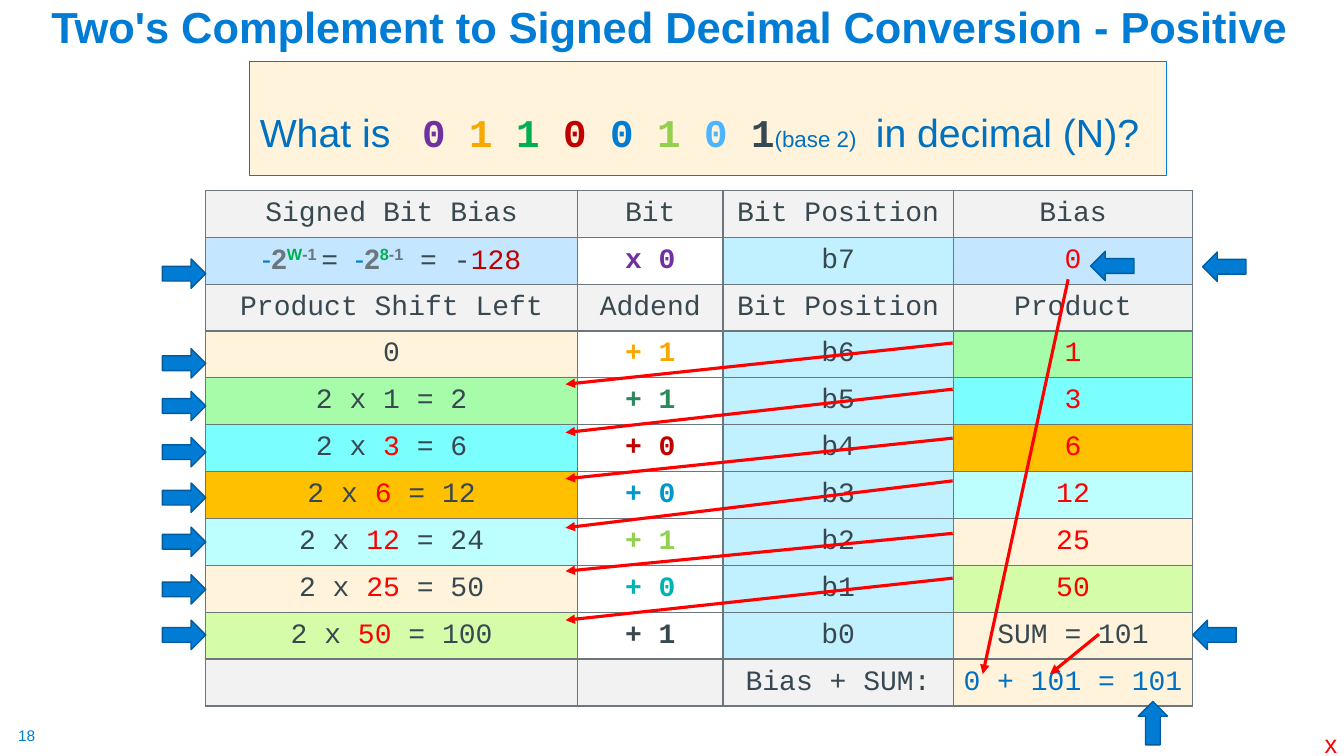
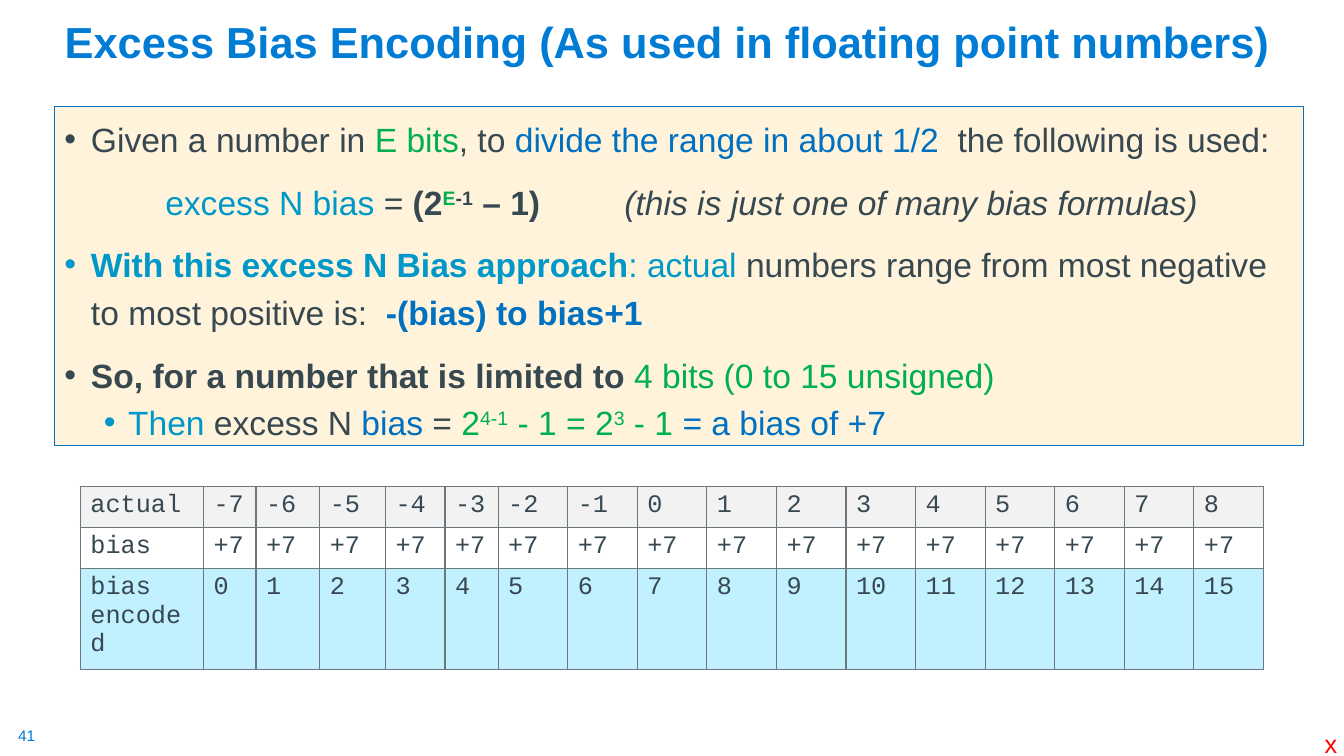
from pptx import Presentation
from pptx.dml.color import RGBColor
from pptx.enum.shapes import MSO_CONNECTOR, MSO_SHAPE
from pptx.enum.text import MSO_ANCHOR, PP_ALIGN
from pptx.oxml.ns import qn
from pptx.util import Pt
from lxml import etree

ARROW, LINE = MSO_SHAPE.RIGHT_ARROW, MSO_CONNECTOR.STRAIGHT
LEFT, MID = PP_ALIGN.LEFT, PP_ALIGN.CENTER
LOW, HALF, TOP = MSO_ANCHOR.BOTTOM, MSO_ANCHOR.MIDDLE, MSO_ANCHOR.TOP
SANS, MONO = "Arial", "Courier New"

# Colours
BLUE = RGBColor(0x00, 0x7C, 0xD5)
NAVY = RGBColor(0x00, 0x5C, 0x9E)
ROYAL = RGBColor(0x00, 0x70, 0xC0)
SKY = RGBColor(0x4D, 0xB5, 0xFF)
OCEAN = RGBColor(0x00, 0x98, 0xC9)
TEAL = RGBColor(0x00, 0xB2, 0xB1)
INK = RGBColor(0x38, 0x48, 0x51)
SLATE = RGBColor(0x6B, 0x76, 0x7D)
PURPLE = RGBColor(0x70, 0x30, 0xA0)
AMBER = RGBColor(0xF7, 0xA9, 0x01)
GREEN = RGBColor(0x00, 0xB0, 0x50)
PINE = RGBColor(0x2C, 0x89, 0x5B)
LIME = RGBColor(0x92, 0xD0, 0x50)
WINE = RGBColor(0xC0, 0x00, 0x00)
RED = RGBColor(0xFF, 0x00, 0x00)
WHITE = RGBColor(0xFF, 0xFF, 0xFF)
GREY = RGBColor(0xF2, 0xF2, 0xF2)
CREAM = RGBColor(0xFF, 0xF4, 0xDB)
PALE = RGBColor(0xC4, 0xE6, 0xFF)
ICE = RGBColor(0xC1, 0xF0, 0xFF)
MINT = RGBColor(0xA6, 0xFC, 0xA9)
AQUA = RGBColor(0x7A, 0xFF, 0xFE)
GOLD = RGBColor(0xFF, 0xC0, 0x00)
FROST = RGBColor(0xBD, 0xFF, 0xFF)
PEAR = RGBColor(0xD5, 0xFD, 0xA9)


def write(para, runs, size, face):
    """Runs are (text, colour, flags, size); flags: b, i, ^ raised, s sans, m mono."""
    for text, color, *more in runs:
        flags = more[0] if more else ""
        run = para.add_run()
        run.text = text
        font = run.font
        font.name = SANS if "s" in flags else MONO if "m" in flags else face
        font.size = Pt(more[1] if len(more) > 1 else size)
        font.color.rgb = color
        font.bold, font.italic = "b" in flags, "i" in flags
        if "^" in flags:
            run._r.get_or_add_rPr().set("baseline", "30000")


def grid(slide, left, top, cols, rows, cells, size, align, anchor):
    """Cells are (runs, fill) in rows."""
    table = slide.shapes.add_table(len(rows), len(cols), Pt(left), Pt(top),
                                   Pt(sum(cols)), Pt(sum(rows))).table
    for col, width in zip(table.columns, cols):
        col.width = Pt(width)
    for row, high, line in zip(table.rows, rows, cells):
        row.height = Pt(high)
        for cell, (runs, fill) in zip(row.cells, line):
            props = cell._tc.get_or_add_tcPr()
            for side in ("a:lnL", "a:lnR", "a:lnT", "a:lnB"):
                edge = etree.SubElement(props, qn(side), w="12700")
                solid = etree.SubElement(edge, qn("a:solidFill"))
                etree.SubElement(solid, qn("a:srgbClr"), val=str(SLATE))
            cell.fill.solid()
            cell.fill.fore_color.rgb = fill
            cell.vertical_anchor = anchor
            para = cell.text_frame.paragraphs[0]
            para.alignment = align
            write(para, runs, size, MONO)


deck = Presentation()
deck.slide_width, deck.slide_height = Pt(960), Pt(540)

# Shared parts: title, cream panel, page number, corner mark
slides, panels = [], []
for title, spot, panel, edge, page in (
        ("Two's Complement to Signed Decimal Conversion - Positive",
         (29.5, 15, 901.5, 26.6), (178.5, 44, 655, 81.2), BLUE, "18"),
        ("Excess Bias Encoding (As used in floating point numbers)",
         (39, 6.5, 878.5, 45.4), (39, 75.8, 892, 242.8), ROYAL, "41")):
    slide = deck.slides.add_slide(deck.slide_layouts[5])
    head = slide.shapes.title
    head.left, head.top, head.width, head.height = map(Pt, spot)
    frame = head.text_frame
    frame.text = title
    frame.word_wrap = True
    frame.margin_right = 0
    frame.vertical_anchor = LOW
    para = frame.paragraphs[0]
    para.alignment, para.line_spacing = LEFT, 0.9
    font = para.runs[0].font
    font.name, font.size, font.bold = SANS, Pt(31), True
    font.color.rgb = BLUE

    box = slide.shapes.add_textbox(*map(Pt, panel))
    box.fill.solid()
    box.fill.fore_color.rgb = CREAM
    box.line.color.rgb = edge
    box.line.width = Pt(0.75)
    box.text_frame.word_wrap = True

    for text, place, inset, size, color in (
            (page, (13, 519, 14, 14), 0, 11, BLUE),
            ("x", (939, 517, 24, 29), 7.2, 18, RED)):
        note = slide.shapes.add_textbox(*map(Pt, place)).text_frame
        note.word_wrap = False
        note.margin_left = note.margin_right = Pt(inset)
        note.margin_top = note.margin_bottom = Pt(inset / 2)
        write(note.paragraphs[0], [(text, color)], size, SANS)
    slides.append(slide)
    panels.append(box.text_frame)

# Panel text: (runs, indent, hang, line spacing, space before, tab stops)
ask = [("What is\t", ROYAL)]
for bit, color in zip("0110010", (PURPLE, AMBER, GREEN, WINE, BLUE, LIME, SKY)):
    ask.append((bit + " ", color, "bm"))
ask += [("1", INK, "bm"), ("(base 2)\t", ROYAL, "", 16), ("in decimal (N)?", ROYAL)]
first = [(ask, 0, 0, 1, 0, (116, 440))]
second = [
    ([("Given a number in ", INK), ("E bits", GREEN), (", to ", INK),
      ("divide the range in about 1/2  ", ROYAL), ("the following is used:", INK)],
     18.9, 18.9, 1.2, 0, ()),
    ([("\texcess N bias ", OCEAN), ("= ", INK), ("(2", INK, "b"), ("E", GREEN, "b^"),
      ("-1", INK, "b^"), (" – 1)\t", INK, "b"),
      ("(this is just one of many bias formulas)", INK, "i")],
     0, 0, 1.2, 10, (72, 400)),
    ([("With this excess N Bias approach", OCEAN, "b"), (": actual ", OCEAN),
      ("numbers range from most negative to most positive is:  ", INK),
      ("-(bias) to bias+1", ROYAL, "b")], 18.9, 18.9, 1.2, 10, ()),
    ([("So, for a number that is limited to ", INK, "b"),
      ("4 bits (0 to 15 unsigned)", GREEN)], 18.9, 18.9, 1.2, 10, ()),
    ([("Then", OCEAN), (" excess N ", INK), ("bias ", ROYAL), ("= ", INK),
      ("2", GREEN), ("4-1", GREEN, "^"), (" - 1 = 2", GREEN), ("3", GREEN, "^"),
      (" - 1 ", GREEN), ("= a bias of +7", ROYAL)], 45.4, 17.3, 1, 5, ()),
]
for frame, lines, size, anchor, base in zip(
        panels, (first, second), (28, 24), (LOW, TOP), (14, 3.6)):
    frame.vertical_anchor = anchor
    frame.margin_bottom = Pt(base)
    for num, (runs, indent, hang, space, before, stops) in enumerate(lines):
        para = frame.paragraphs[0] if num == 0 else frame.add_paragraph()
        props = para._p.get_or_add_pPr()
        if hang:
            props.set("marL", str(int(Pt(indent))))
            props.set("indent", str(-int(Pt(hang))))
            etree.SubElement(props, qn("a:buFont"), typeface=SANS)
            etree.SubElement(props, qn("a:buChar"), char="•")
        if stops:
            tabs = etree.SubElement(props, qn("a:tabLst"))
            for stop in stops:
                etree.SubElement(tabs, qn("a:tab"), pos=str(int(Pt(stop))), algn="l")
        para.line_spacing = space
        para.space_before = Pt(before)
        write(para, runs, size, SANS)

# Slide 1: conversion table
slide = slides[0]
power = [("-", BLUE, "s"), ("2", SLATE, "sb"), ("W", GREEN, "sb^"),
         ("-1 ", SLATE, "sb^"), ("= ", INK), ("-", BLUE, "s"), ("2", SLATE, "sb"),
         ("8", GREEN, "sb^"), ("-1", SLATE, "sb^"), (" = -", INK), ("128", WINE)]
heads = [[([(name, INK)], GREY) for name in names] for names in (
    ("Signed Bit Bias", "Bit", "Bit Position", "Bias"),
    ("Product Shift Left", "Addend", "Bit Position", "Product"))]
cells = [heads[0],
         [(power, PALE), ([("x 0", PURPLE, "b")], WHITE),
          ([("b7", INK)], ICE), ([("0", RED)], PALE)],
         heads[1]]
fills = (CREAM, MINT, AQUA, GOLD, FROST, CREAM, PEAR, CREAM)
tints = (AMBER, PINE, WINE, OCEAN, LIME, TEAL, INK)
total = 0
for num, (bit, tint) in enumerate(zip((1, 1, 0, 0, 1, 0, 1), tints)):
    shift = [("2 x ", INK), (str(total), RED if num > 1 else INK),
             (f" = {2 * total}", INK)]
    if num == 0:
        shift = [("0", INK)]
    total = 2 * total + bit
    result = (str(total), RED) if num < 6 else (f"SUM = {total}", INK)
    cells.append([(shift, fills[num]), ([(f"+ {bit}", tint, "b")], WHITE),
                  ([(f"b{6 - num}", INK)], ICE), ([result], fills[num + 1])])
cells.append([([], GREY), ([], GREY), ([("Bias + SUM:", INK)], GREY),
              ([("0 + 101 = 101", ROYAL)], CREAM)])
grid(slide, 147, 136, (265.5, 104, 164.5, 171), [33.5] * 11, cells, 20, MID, HALF)

# Slide 1: block arrows (left, top, turn)
marks = [(116, y, 0) for y in (185, 249, 279.5, 312.5, 345, 376.5, 410.5, 443)]
marks += [(808, 506, 270), (859, 180, 180), (852, 443, 180), (779, 179.5, 180)]
for x, y, turn in marks:
    mark = slide.shapes.add_shape(ARROW, Pt(x), Pt(y), Pt(31), Pt(21))
    mark.shadow.inherit = False
    mark.rotation = turn
    mark.fill.solid()
    mark.fill.fore_color.rgb = BLUE
    mark.line.color.rgb = NAVY
    mark.line.width = Pt(1)

# Slide 1: red arrows (from x, from y, to x, to y)
ties = [(680.5, start, 404, end) for start, end in (
    (245, 274.5), (278, 309), (313, 342), (343.5, 377), (381, 408), (413, 443))]
ties += [(763, 199.5, 702, 481.5), (785, 453, 750, 481.5)]
for ends in ties:
    tie = slide.shapes.add_connector(LINE, *map(Pt, ends))
    tie.line.color.rgb = RED
    tie.line.width = Pt(2.25)
    etree.SubElement(tie.line._get_or_add_ln(), qn("a:tailEnd"), type="triangle")
    etree.SubElement(tie._element.spPr, qn("a:effectLst"))

# Slide 2: bias table
span = range(-7, 9)
rows = ((["actual", *span], GREY), (["bias"] + ["+7"] * len(span), WHITE),
        (["bias encoded", *(n + 7 for n in span)], ICE))
cells = [[([(str(item), INK)], fill) for item in items] for items, fill in rows]
cols = [88, 37.5, 45.5, 47, 42.5, 38] + [49.7] * 11
grid(slides[1], 57.4, 347.5, cols, (29.3, 29.3, 72), cells, 18, LEFT, TOP)

deck.save("out.pptx")
